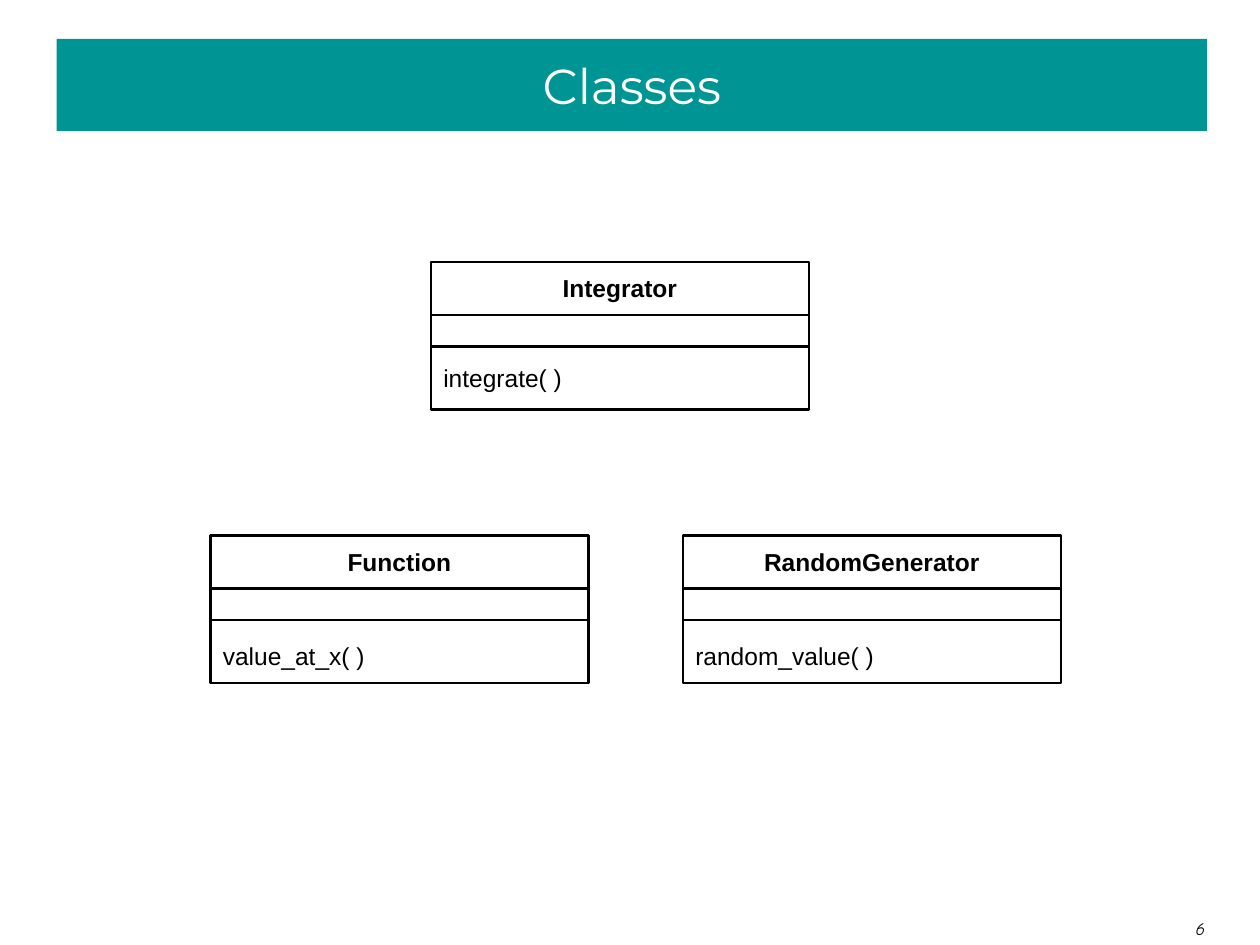
from pptx import Presentation
from pptx.dml.color import RGBColor
from pptx.enum.shapes import MSO_SHAPE as SHAPE
from pptx.enum.text import MSO_ANCHOR as ANCHOR, PP_ALIGN as ALIGN
from pptx.util import Inches, Pt

BOX_W = 3


def color(value):
    """Turn a hex string into a colour."""
    return RGBColor.from_string(value)


def add_rect(shapes, x, y, w, h, fill=None, line=None):
    """Add a rectangle with an optional fill and outline."""
    sp = shapes.add_shape(SHAPE.RECTANGLE, Inches(x), Inches(y), Inches(w), Inches(h))
    sp.shadow.inherit = False
    if fill:
        sp.fill.solid()
        sp.fill.fore_color.rgb = color(fill)
    else:
        sp.fill.background()
    if line:
        sp.line.color.rgb = color(line)
        sp.line.width = Pt(1.5)
    else:
        sp.line.fill.background()
    return sp


def set_text(sp, text, size=14, font="Arial", hex_color="000000", bold=False,
             italic=False, align=ALIGN.LEFT, anchor=ANCHOR.TOP):
    """Write one formatted paragraph into a shape."""
    tf = sp.text_frame
    tf.word_wrap = True
    tf.vertical_anchor = anchor
    p = tf.paragraphs[0]
    p.alignment = align
    r = p.add_run()
    r.text = text
    r.font.size = Pt(size)
    r.font.name = font
    r.font.bold = bold
    r.font.italic = italic
    r.font.color.rgb = color(hex_color)


def add_label(shapes, text, x, y, w, h, **fmt):
    """Add a text box with formatted text."""
    sp = shapes.add_textbox(Inches(x), Inches(y), Inches(w), Inches(h))
    set_text(sp, text, **fmt)


def add_class(s, name, method, x, y, method_dy=0.79):
    """Add a grouped class box with name, attribute and method sections."""
    shapes = s.shapes.add_group_shape().shapes
    add_rect(shapes, x, y, BOX_W, 1.17, line="000000")
    add_rect(shapes, x, y + 0.42, BOX_W, 0.25, line="000000")
    add_label(shapes, name, x, y + 0.04, BOX_W, 0.33, bold=True,
              align=ALIGN.CENTER, anchor=ANCHOR.MIDDLE)
    add_label(shapes, method, x, y + method_dy, BOX_W, 0.33)


def main():
    """Build the class overview slide."""
    prs = Presentation()
    prs.slide_width, prs.slide_height = Inches(10), Inches(7.5)
    s = prs.slides.add_slide(prs.slide_layouts[6])

    title = add_rect(s.shapes, 0.45, 0.31, 9.13, 0.73, fill="009595")
    set_text(title, "Classes", size=28, font="Montserrat", hex_color="FFFFFF",
             align=ALIGN.CENTER, anchor=ANCHOR.MIDDLE)

    add_class(s, "RandomGenerator", "random_value( )", 5.42, 4.25)
    add_class(s, "Integrator", "integrate( )", 3.42, 2.08, method_dy=0.75)
    add_class(s, "Function", "value_at_x( )", 1.67, 4.25)

    add_label(s.shapes, "6", 9.39, 7.24, 0.6, 0.26, size=10, font="Comic Neue",
              italic=True, anchor=ANCHOR.BOTTOM)
    prs.save("out.pptx")


if __name__ == "__main__":
    main()
